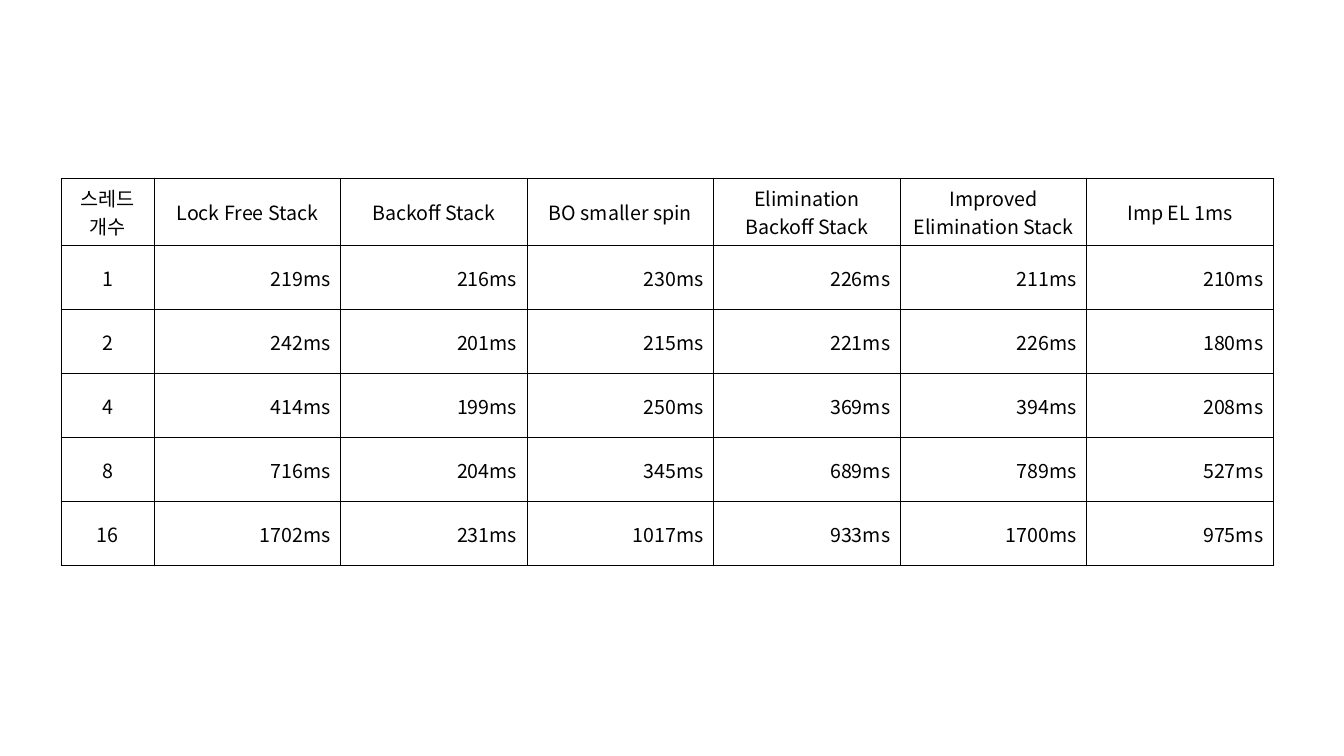
import pptx
import pptx.dml.color
import pptx.enum.text
import pptx.oxml.ns
import pptx.util
import lxml.etree

COLORS = {"text": "000000", "border": "000000", "cell": "FFFFFF"}
FONT = "Noto Sans CJK KR"
HEADERS = ["스레드 개수", "Lock Free Stack", "Backoff Stack", "BO smaller spin",
           "Elimination Backoff Stack", "Improved Elimination Stack", "Imp EL 1ms"]
TIMES = {
    1: [219, 216, 230, 226, 211, 210],
    2: [242, 201, 215, 221, 226, 180],
    4: [414, 199, 250, 369, 394, 208],
    8: [716, 204, 345, 689, 789, 527],
    16: [1702, 231, 1017, 933, 1700, 975],
}
rows = [HEADERS] + [
    [str(threads)] + [f"{time}ms" for time in times] for threads, times in TIMES.items()
]

THREAD_WIDTH = 0.92
STACK_WIDTH = 1.85
ROW_HEIGHT = 0.635
column_widths = [THREAD_WIDTH] + [STACK_WIDTH] * (len(HEADERS) - 1)


def add_borders(cell):
    properties = cell._tc.get_or_add_tcPr()
    for index, side in enumerate(("lnL", "lnR", "lnT", "lnB")):
        line = lxml.etree.Element(pptx.oxml.ns.qn(f"a:{side}"), w=str(pptx.util.Pt(1)))
        fill = lxml.etree.SubElement(line, pptx.oxml.ns.qn("a:solidFill"))
        lxml.etree.SubElement(fill, pptx.oxml.ns.qn("a:srgbClr"), val=COLORS["border"])
        properties.insert(index, line)


presentation = pptx.Presentation()
presentation.slide_width = pptx.util.Inches(13.33)
presentation.slide_height = pptx.util.Inches(7.5)
slide = presentation.slides.add_slide(presentation.slide_layouts[6])

table = slide.shapes.add_table(
    len(rows), len(HEADERS),
    pptx.util.Inches(0.61), pptx.util.Inches(1.77),
    pptx.util.Inches(sum(column_widths)), pptx.util.Inches(ROW_HEIGHT * len(rows)),
).table
table.first_row = False
table.horz_banding = False
for column, width in zip(table.columns, column_widths):
    column.width = pptx.util.Inches(width)

for row_index, values in enumerate(rows):
    for column_index, value in enumerate(values):
        cell = table.cell(row_index, column_index)
        cell.fill.solid()
        cell.fill.fore_color.rgb = pptx.dml.color.RGBColor.from_string(COLORS["cell"])
        cell.vertical_anchor = pptx.enum.text.MSO_ANCHOR.MIDDLE
        add_borders(cell)
        cell.text = value
        paragraph = cell.text_frame.paragraphs[0]
        is_label = row_index == 0 or column_index == 0
        paragraph.alignment = (
            pptx.enum.text.PP_ALIGN.CENTER if is_label else pptx.enum.text.PP_ALIGN.RIGHT
        )
        paragraph.font.size = pptx.util.Pt(14)
        paragraph.font.name = FONT
        paragraph.font.color.rgb = pptx.dml.color.RGBColor.from_string(COLORS["text"])
        lxml.etree.SubElement(
            paragraph._p.pPr.defRPr, pptx.oxml.ns.qn("a:ea"), typeface=FONT
        )

presentation.save("out.pptx")
